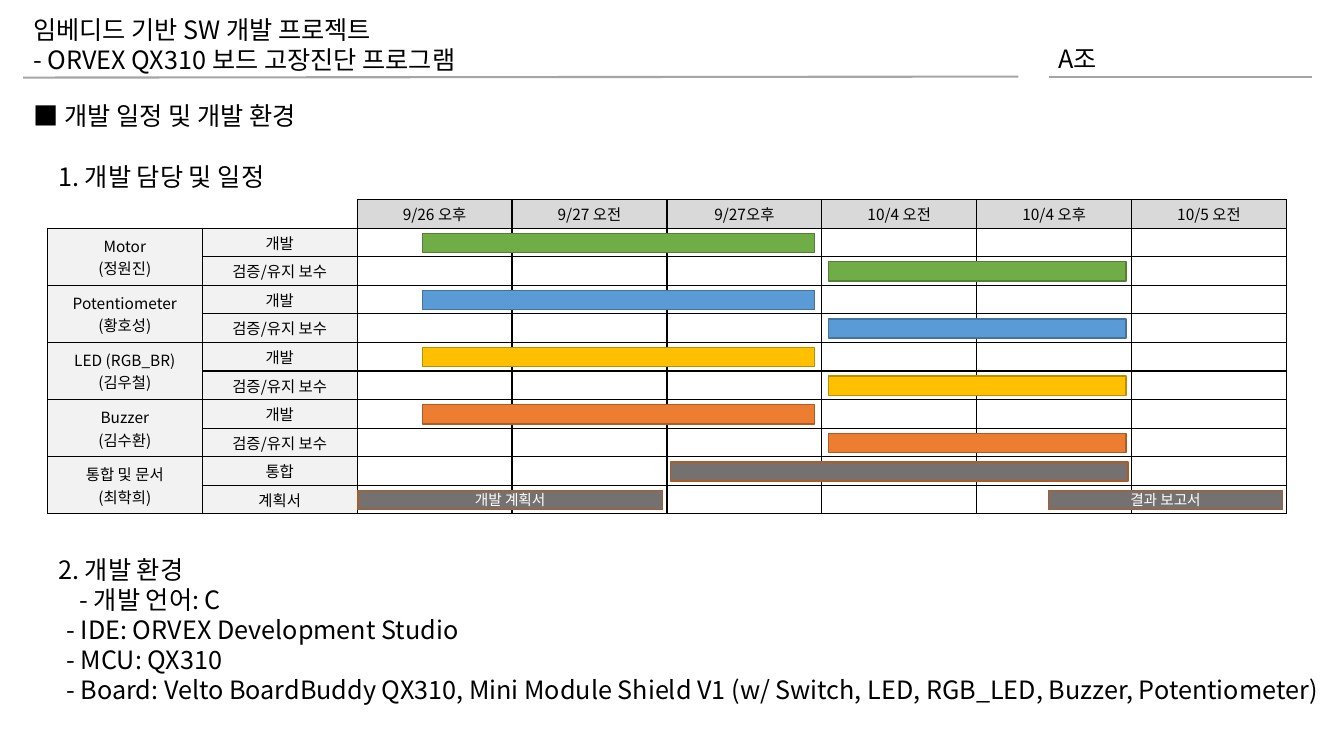
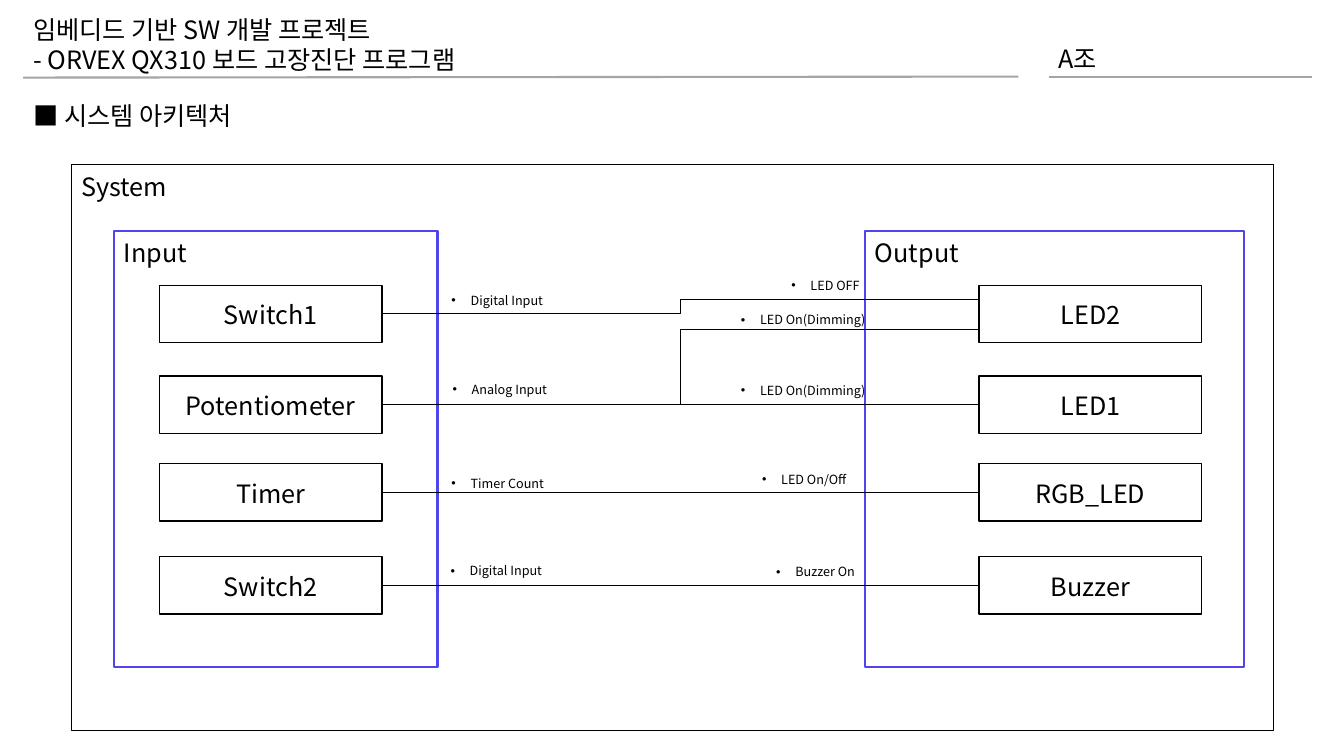
import pptx
import pptx.dml.color
import pptx.enum.shapes
import pptx.enum.text
import pptx.oxml.ns
import pptx.util
from dataclasses import dataclass
from lxml import etree

Inches, Pt = pptx.util.Inches, pptx.util.Pt
qn = pptx.oxml.ns.qn
ALIGN = pptx.enum.text.PP_ALIGN
ANCHOR = pptx.enum.text.MSO_ANCHOR
CONNECTOR = pptx.enum.shapes.MSO_CONNECTOR


@dataclass(frozen=True)
class Theme:
    font: str = "Noto Sans CJK KR"
    black: str = "000000"
    white: str = "FFFFFF"
    rule: str = "A5A5A5"
    head_fill: str = "D9D9D9"
    label_fill: str = "F2F2F2"
    group_line: str = "5044EC"
    green: tuple = ("70AD47", "538035")
    blue: tuple = ("5B9BD5", "43739E")
    yellow: tuple = ("FFC000", "BD8E00")
    orange: tuple = ("ED7D31", "AF5C24")
    gray: tuple = ("767171", "AF5C24")
    body: float = 18
    cell: float = 11
    bar: float = 10.5
    label: float = 9
    leading: float = 1.19


def rgb(value):
    return pptx.dml.color.RGBColor.from_string(value)


class Deck:
    def __init__(self, theme):
        self.t = theme
        self.prs = pptx.Presentation()
        self.prs.slide_width, self.prs.slide_height = Inches(13.33), Inches(7.5)
        self.s = None

    # Text
    def add_lines(self, tf, lines, size, color=None, align=ALIGN.LEFT, tight=True):
        """Fill a text frame, one paragraph for each line."""
        for i, line in enumerate(lines):
            p = tf.paragraphs[0] if i == 0 else tf.add_paragraph()
            p.alignment = align
            if tight:
                p.line_spacing = Pt(round(size * self.t.leading, 1))
                p.space_before = Pt(0)
            r = p.add_run()
            r.text = line
            r.font.size = Pt(size)
            r.font.color.rgb = rgb(color or self.t.black)
            r.font.name = self.t.font
            etree.SubElement(r._r.get_or_add_rPr(), qn("a:ea"), typeface=self.t.font)

    def frame(self, tf, anchor=ANCHOR.TOP, side=0.1, top=0.07, bottom=0.05):
        tf.word_wrap = True
        tf.auto_size = pptx.enum.text.MSO_AUTO_SIZE.NONE
        tf.vertical_anchor = anchor
        tf.margin_left = tf.margin_right = Inches(side)
        tf.margin_top, tf.margin_bottom = Inches(top), Inches(bottom)

    def text(self, x, y, w, h, lines, indents=()):
        tf = self.s.shapes.add_textbox(*map(Inches, (x, y, w, h))).text_frame
        self.frame(tf)
        self.add_lines(tf, lines, self.t.body)
        for p, indent in zip(tf.paragraphs, indents):
            p._p.get_or_add_pPr().set("marL", str(Inches(indent)))

    def bullet(self, x, y, w, line):
        tf = self.s.shapes.add_textbox(*map(Inches, (x, y, w, 0.25))).text_frame
        self.frame(tf, top=0.05)
        self.add_lines(tf, [line], self.t.label)
        pPr = tf.paragraphs[0]._p.get_or_add_pPr()
        pPr.set("marL", str(Inches(0.19)))
        pPr.set("indent", str(-Inches(0.19)))
        etree.SubElement(pPr, qn("a:buFont"), typeface="Arial")
        etree.SubElement(pPr, qn("a:buChar"), char="•")

    # Shapes and lines
    def rect(self, x, y, w, h, fill, line, weight=1):
        sp = self.s.shapes.add_shape(
            pptx.enum.shapes.MSO_SHAPE.RECTANGLE, *map(Inches, (x, y, w, h)))
        sp.shadow.inherit = False
        sp.fill.solid()
        sp.fill.fore_color.rgb = rgb(fill)
        sp.line.color.rgb = rgb(line)
        sp.line.width = Pt(weight)
        return sp

    def panel(self, x, y, w, h, name, line, weight):
        sp = self.rect(x, y, w, h, self.t.white, line, weight)
        self.frame(sp.text_frame)
        self.add_lines(sp.text_frame, [name], self.t.body)

    def node(self, x, y, name):
        sp = self.rect(x, y, 2.21, 0.57, self.t.white, self.t.black)
        self.frame(sp.text_frame, ANCHOR.MIDDLE)
        self.add_lines(sp.text_frame, [name], self.t.body, align=ALIGN.CENTER)
        return sp

    def bar(self, x, y, w, colors, name=""):
        sp = self.rect(x, y, w, 0.19, *colors)
        if name:
            self.frame(sp.text_frame, ANCHOR.MIDDLE, 0, 0, 0)
            self.add_lines(sp.text_frame, [name], self.t.bar, self.t.white, ALIGN.CENTER)

    def line(self, x1, y1, x2, y2, color, weight, kind=CONNECTOR.STRAIGHT):
        cx = self.s.shapes.add_connector(kind, *map(Inches, (x1, y1, x2, y2)))
        cx.line.color.rgb = rgb(color)
        cx.line.width = Pt(weight)
        etree.SubElement(cx._element.spPr, qn("a:effectLst"))
        return cx

    def link(self, a, b):
        cx = self.line(0, 0, 1, 1, self.t.black, 0.5)
        cx.begin_connect(a, 3)
        cx.end_connect(b, 1)

    # Table
    def borders(self, cell, sides):
        tcPr = cell._tc.get_or_add_tcPr()
        for side in "LRTB":
            ln = etree.SubElement(tcPr, qn("a:ln" + side), w=str(Pt(1)))
            if side in sides:
                fill = etree.SubElement(ln, qn("a:solidFill"))
                etree.SubElement(fill, qn("a:srgbClr"), val=self.t.black)
            else:
                etree.SubElement(ln, qn("a:noFill"))

    def cell(self, cell, lines=(), fill=None, sides="LRTB"):
        self.borders(cell, sides)
        if fill:
            cell.fill.solid()
            cell.fill.fore_color.rgb = rgb(fill)
        else:
            cell.fill.background()
        cell.vertical_anchor = ANCHOR.MIDDLE
        cell.margin_top = cell.margin_bottom = Inches(0.03)
        if lines:
            self.add_lines(cell.text_frame, lines, self.t.cell, align=ALIGN.CENTER, tight=False)
        else:
            end = cell.text_frame.paragraphs[0]._p.get_or_add_endParaRPr()
            end.set("sz", str(self.t.cell * 100))

    def table(self, x, y, w, h, heads, groups):
        rows, cols = 1 + 2 * len(groups), 2 + len(heads)
        tbl = self.s.shapes.add_table(rows, cols, *map(Inches, (x, y, w, h))).table
        tbl.first_row = tbl.horz_banding = False
        for col in tbl.columns:
            col.width = Inches(w / cols)
        for row in tbl.rows:
            row.height = Inches(h / rows)
        self.cell(tbl.cell(0, 0), sides="B")
        self.cell(tbl.cell(0, 1), sides="RB")
        for c, head in enumerate(heads, 2):
            self.cell(tbl.cell(0, c), [head], self.t.head_fill)
        for g, (owner, tasks) in enumerate(groups):
            top = 1 + 2 * g
            for r, task in enumerate(tasks, top):
                self.cell(tbl.cell(r, 0), owner if r == top else (), self.t.label_fill)
                self.cell(tbl.cell(r, 1), [task], self.t.label_fill)
                for c in range(2, cols):
                    self.cell(tbl.cell(r, c))
            tbl.cell(top, 0).merge(tbl.cell(top + 1, 0))

    # Slide with the shared header and its title
    def slide(self, title):
        self.s = self.prs.slides.add_slide(self.prs.slide_layouts[5])
        sp = self.s.shapes.title
        sp.left, sp.top, sp.width, sp.height = map(Inches, (0.23, 0.93, 8.78, 0.4))
        self.frame(sp.text_frame)
        self.add_lines(sp.text_frame, [title], self.t.body)
        self.line(0.23, 0.77, 10.1, 0.76, self.t.rule, 1.5)
        self.line(10.4, 0.76, 13.01, 0.76, self.t.rule, 1.5)
        self.text(10.4, 0.36, 2.4, 0.4, ["A조"])
        self.text(0.23, 0.07, 8.1, 0.71, [
            "임베디드 기반 SW 개발 프로젝트", "- ORVEX QX310 보드 고장진단 프로그램"])


def schedule_slide(d):
    t = d.t
    d.slide("■ 개발 일정 및 개발 환경")
    d.text(0.23, 1.53, 8.78, 0.4, ["1. 개발 담당 및 일정"], [0.25])

    # Schedule table
    top, height = 1.98, 3.12
    dev = ("개발", "검증/유지 보수")
    groups = [
        (("Motor", "(정원진)"), dev),
        (("Potentiometer", "(황호성)"), dev),
        (("LED (RGB_BR)", "(김우철)"), dev),
        (("Buzzer", "(김수환)"), dev),
        (("통합 및 문서", "(최학희)"), ("통합", "계획서")),
    ]
    heads = ["9/26 오후", "9/27 오전", "9/27오후", "10/4 오전", "10/4 오후", "10/5 오전"]
    d.table(0.47, top, 12.29, height, heads, groups)

    # Schedule bars
    row_h = height / (1 + 2 * len(groups))

    def bar_top(row):
        return top + row * row_h + 0.05

    for i, colors in enumerate((t.green, t.blue, t.yellow, t.orange)):
        d.bar(4.19, bar_top(2 * i + 1), 3.89, colors)
        d.bar(8.22, bar_top(2 * i + 2), 2.95, colors)
    d.bar(6.65, bar_top(9), 4.54, t.gray)
    d.bar(3.55, bar_top(10), 3.02, t.gray, "개발 계획서")
    d.bar(10.4, bar_top(10), 2.32, t.gray, "결과 보고서")

    # Environment
    d.text(0.23, 5.43, 13.03, 1.65, [
        "2. 개발 환경",
        "- 개발 언어: C",
        "- IDE: ORVEX Development Studio",
        "- MCU: QX310",
        "- Board: Velto BoardBuddy QX310, Mini Module Shield V1 "
        "(w/ Switch, LED, RGB_LED, Buzzer, Potentiometer)",
    ], [0.25, 0.46, 0.33, 0.33, 0.33])


def architecture_slide(d):
    t = d.t
    d.slide("■ 시스템 아키텍처")

    # Nested panels
    d.panel(0.71, 1.63, 11.92, 5.62, "System", t.black, 1)
    d.panel(1.13, 2.29, 3.21, 4.33, "Input", t.group_line, 1.5)
    d.panel(8.58, 2.29, 3.76, 4.33, "Output", t.group_line, 1.5)

    # Input and output nodes, linked row by row
    rows = [
        (2.83, "Switch1", "LED2"),
        (3.73, "Potentiometer", "LED1"),
        (4.6, "Timer", "RGB_LED"),
        (5.52, "Switch2", "Buzzer"),
    ]
    for i, (y, source, target) in enumerate(rows):
        a, b = d.node(1.58, y, source), d.node(9.71, y, target)
        if i > 0:
            d.link(a, b)

    # Two bent lines into LED2
    for y1, y2 in ((3.11, 2.97), (4.01, 3.27)):
        d.line(3.79, y1, 9.71, y2, t.black, 0.5, CONNECTOR.ELBOW)

    # Signal labels
    for x, y, w, name in (
        (4.38, 2.86, 1.17, "Digital Input"),
        (4.39, 3.74, 1.17, "Analog Input"),
        (4.38, 4.67, 1.17, "Timer Count"),
        (4.37, 5.54, 1.17, "Digital Input"),
        (7.75, 2.71, 0.88, "LED OFF"),
        (7.25, 3.05, 1.45, "LED On(Dimming)"),
        (7.25, 3.75, 1.45, "LED On(Dimming)"),
        (7.46, 4.63, 1.17, "LED On/Off"),
        (7.6, 5.55, 1.03, "Buzzer On"),
    ):
        d.bullet(x, y, w, name)


def main():
    d = Deck(Theme())
    schedule_slide(d)
    architecture_slide(d)
    d.prs.save("out.pptx")


if __name__ == "__main__":
    main()
